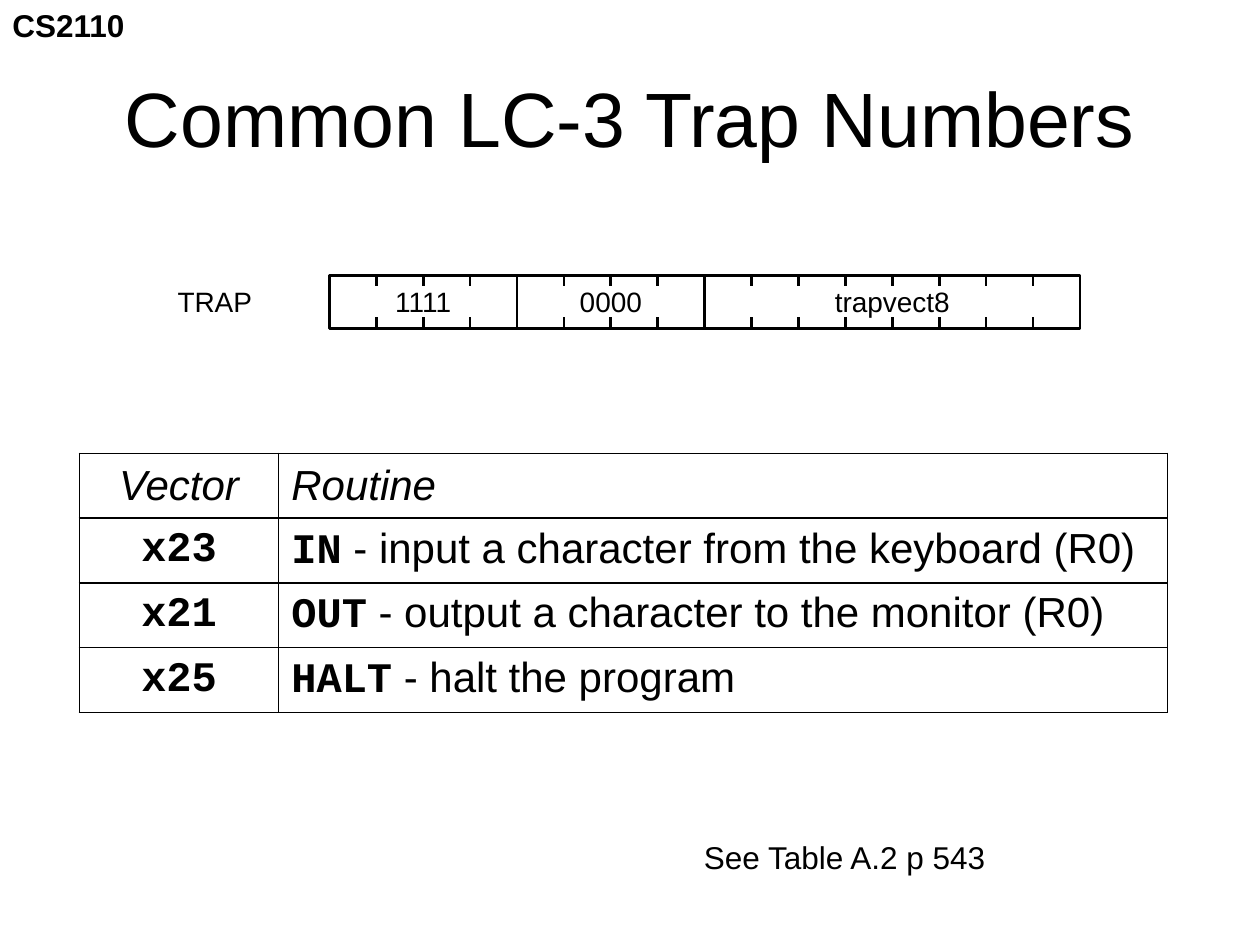
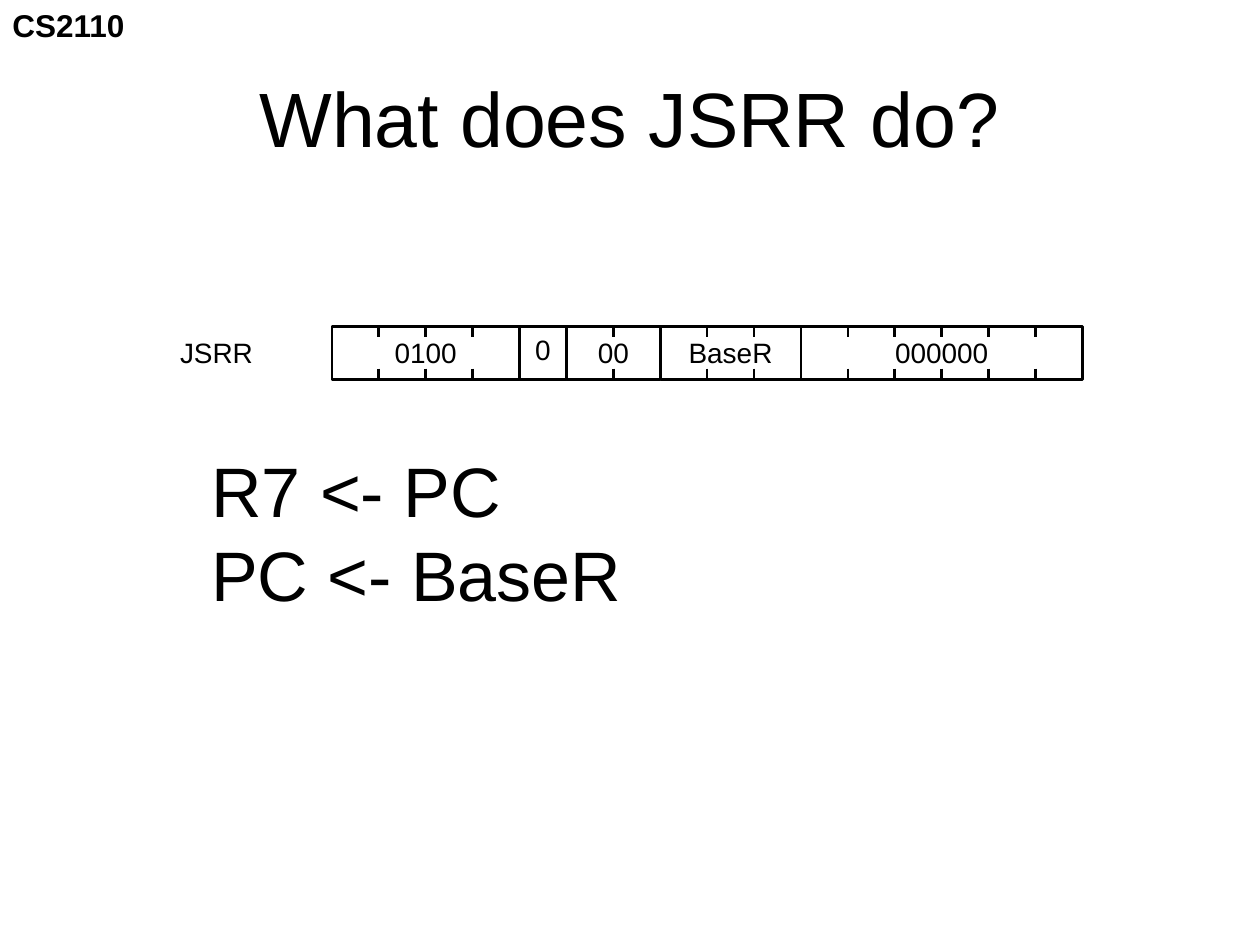
from lxml.etree import SubElement
from pptx import Presentation
from pptx.dml.color import RGBColor
from pptx.enum.shapes import MSO_CONNECTOR, MSO_SHAPE
from pptx.enum.text import MSO_ANCHOR, MSO_AUTO_SIZE, PP_ALIGN
from pptx.oxml import parse_xml
from pptx.oxml.ns import nsdecls, qn
from pptx.util import Cm, Pt

BLACK = RGBColor(0, 0, 0)
SANS, MONO = "Arial", "Courier New"
WIDE, HIGH, TICK = 15.13, 1.07, 0.22  # register width and height, tick length
BIT = WIDE / 16


def style(font, size, name=SANS, bold=False, italic=False):
    font.size, font.name = Pt(size), name
    font.bold, font.italic = bold, italic
    font.color.rgb = BLACK


def label(shapes, text, x, y, w, h, size, align=PP_ALIGN.LEFT, wrap=False, bold=False):
    box = shapes.add_textbox(Cm(x), Cm(y), Cm(w), Cm(h))
    frame = box.text_frame
    frame.text = text
    frame.word_wrap = wrap
    frame.auto_size = MSO_AUTO_SIZE.SHAPE_TO_FIT_TEXT
    for para in frame.paragraphs:
        para.alignment = align
        style(para.font, size, bold=bold)
    return box


deck = Presentation()
deck.slide_width, deck.slide_height = Cm(25.4), Cm(19.05)
plain = deck.slide_layouts.get_by_name("Title Only")

# Each slide: title, mnemonic, left and top of the register, fields as (text, bits)
pages = [
    ("Common LC-3 Trap Numbers", "TRAP", 6.64, 5.55,
     [("1111", 4), ("0000", 4), ("trapvect8", 8)]),
    ("What does JSRR do?", "JSRR", 6.69, 6.58,
     [("0100", 4), ("0", 1), ("00", 2), ("BaseR", 3), ("000000", 6)]),
]

for head, code, left, top, fields in pages:
    slide = deck.slides.add_slide(plain)

    # Title
    title = slide.shapes.title
    title.left, title.top, title.width, title.height = Cm(1.27), Cm(0.76), Cm(22.86), Cm(3.18)
    title.text_frame.text = head
    title.text_frame.vertical_anchor = MSO_ANCHOR.MIDDLE
    para = title.text_frame.paragraphs[0]
    para.alignment = PP_ALIGN.CENTER
    style(para.font, 44)

    # Instruction register
    group = slide.shapes.add_group_shape().shapes
    label(group, code, left - 3.31, top + 0.06, 2.2, 0.94, 16)
    x = left
    for text, bits in fields:
        wide = bits * BIT
        rect = group.add_shape(MSO_SHAPE.RECTANGLE, Cm(x), Cm(top), Cm(wide), Cm(HIGH))
        rect.shadow.inherit = False
        rect.fill.background()
        rect.line.color.rgb = BLACK
        rect.line.width = Pt(1.5)

        # Ticks between bits, on both edges; a full byte has a closing tick too
        last = bits + 1 if bits == 8 else bits
        for bit in range(1, last):
            for y in (top, top + HIGH - TICK):
                pos = Cm(x + bit * BIT)
                tick = group.add_connector(MSO_CONNECTOR.STRAIGHT, pos, Cm(y), pos, Cm(y + TICK))
                tick.line.color.rgb = BLACK
                tick.line.width = Pt(1.5)
                SubElement(tick.element.spPr, qn("a:effectLst"))

        # A single bit holds its own text
        if bits == 1:
            rect.text_frame.text = text
            rect.text_frame.vertical_anchor = MSO_ANCHOR.TOP
            para = rect.text_frame.paragraphs[0]
            para.alignment = PP_ALIGN.CENTER
            style(para.font, 16)
        else:
            room = 0.6 + 0.34 * len(text)
            label(group, text, x + (wide - room) / 2, top + 0.06, room, 0.94, 16, PP_ALIGN.CENTER)
        x += wide

first, second = deck.slides

# Course tag, moved to the master so that every slide shows it
tag = label(first.shapes, "CS2110", 0, 0, 2.79, 1.02, 18, bold=True)
deck.slide_master.shapes.element.append(tag.element)

# Trap table
rows = [
    ("Vector", "", "Routine"),
    ("x23", "IN", " - input a character from the keyboard (R0)"),
    ("x21", "OUT", " - output a character to the monitor (R0)"),
    ("x25", "HALT", " - halt the program"),
]
table = first.shapes.add_table(4, 2, Cm(1.6), Cm(9.14), Cm(21.94), Cm(5.22)).table
table.first_row = table.horz_banding = False
table.columns[0].width, table.columns[1].width = Cm(4.02), Cm(17.92)
for r, (code, name, note) in enumerate(rows):
    top_row = r == 0
    for c in range(2):
        cell = table.cell(r, c)
        cell.vertical_anchor = MSO_ANCHOR.MIDDLE
        para = cell.text_frame.paragraphs[0]
        if c == 0:
            para.text = code
            para.alignment = PP_ALIGN.CENTER
            style(para.font, 24, SANS if top_row else MONO, not top_row, top_row)
        else:
            if name:
                run = para.add_run()
                run.text = name
                style(run.font, 24, MONO, True)
            run = para.add_run()
            run.text = note
            style(run.font, 24, italic=top_row)
        for side in "LRTB":
            cell._tc.get_or_add_tcPr().append(parse_xml(
                f'<a:ln{side} {nsdecls("a")} w="12700"><a:solidFill>'
                f'<a:srgbClr val="{BLACK}"/></a:solidFill></a:ln{side}>'))
        cell.fill.background()

label(first.shapes, "See Table A.2 p 543", 13.94, 16.76, 6.3, 1.02, 18)

# Meaning of JSRR
label(second.shapes, "R7 <- PC\nPC <- BaseR", 4.01, 8.89, 9.6, 3.68, 40, wrap=True)

deck.save("out.pptx")
